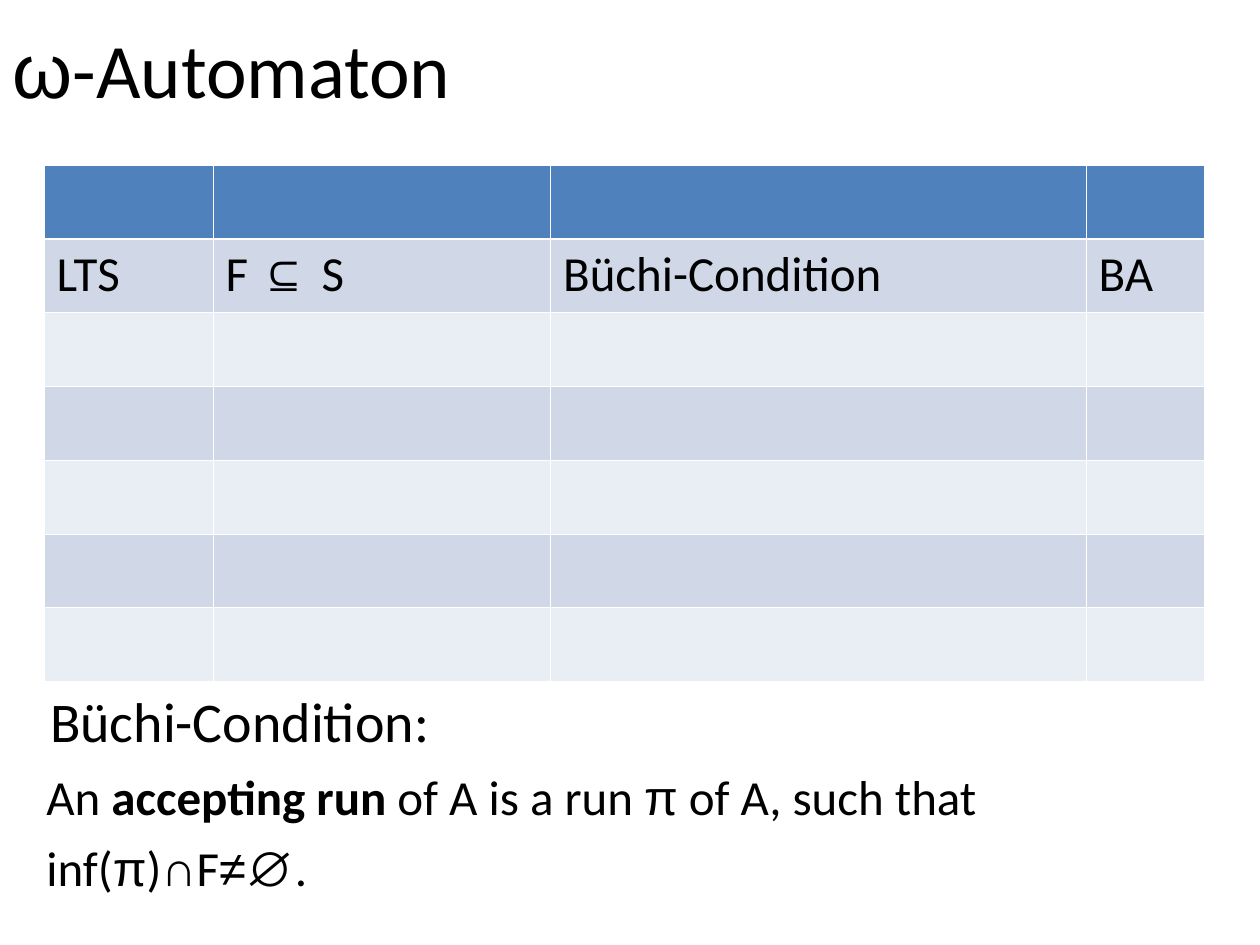
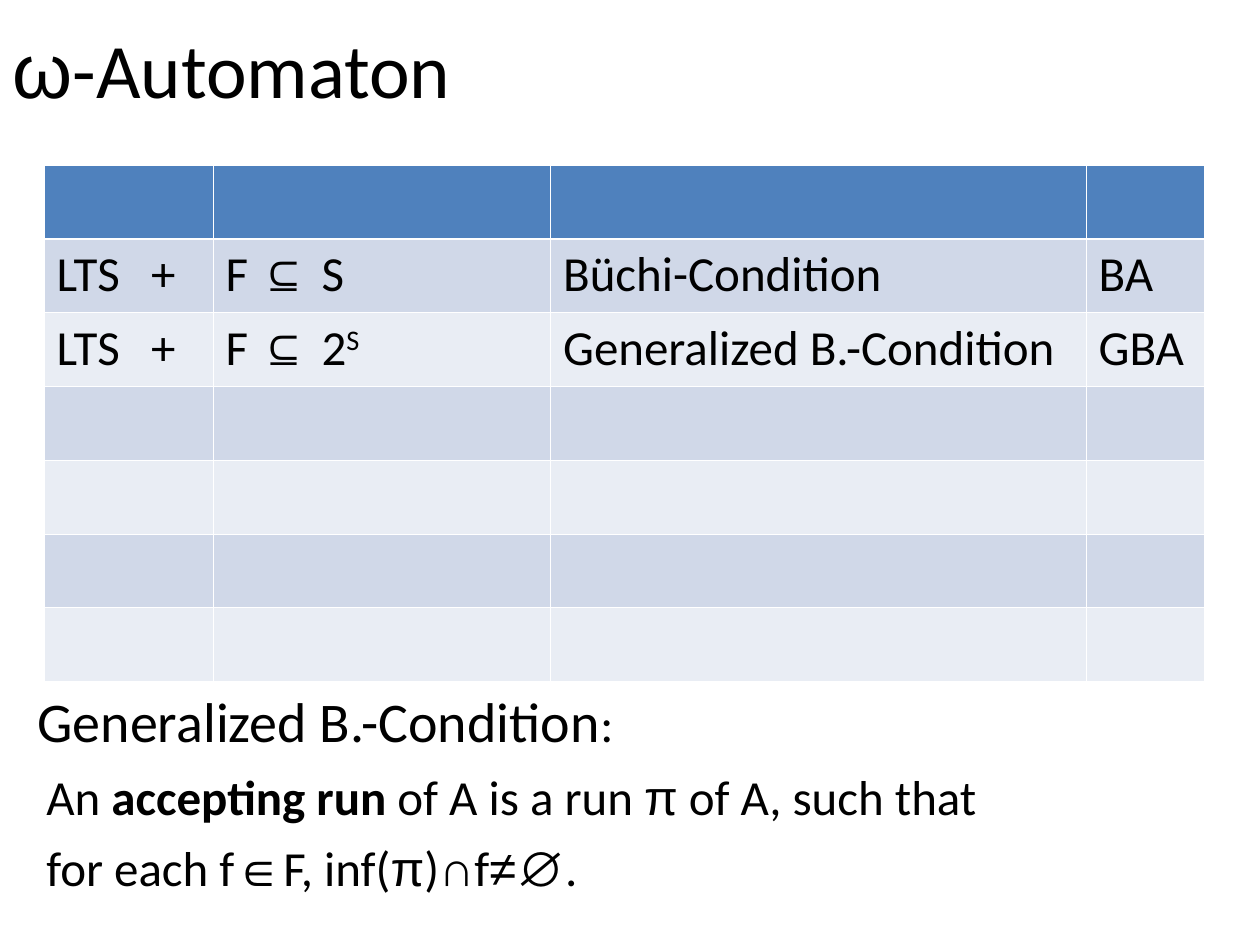
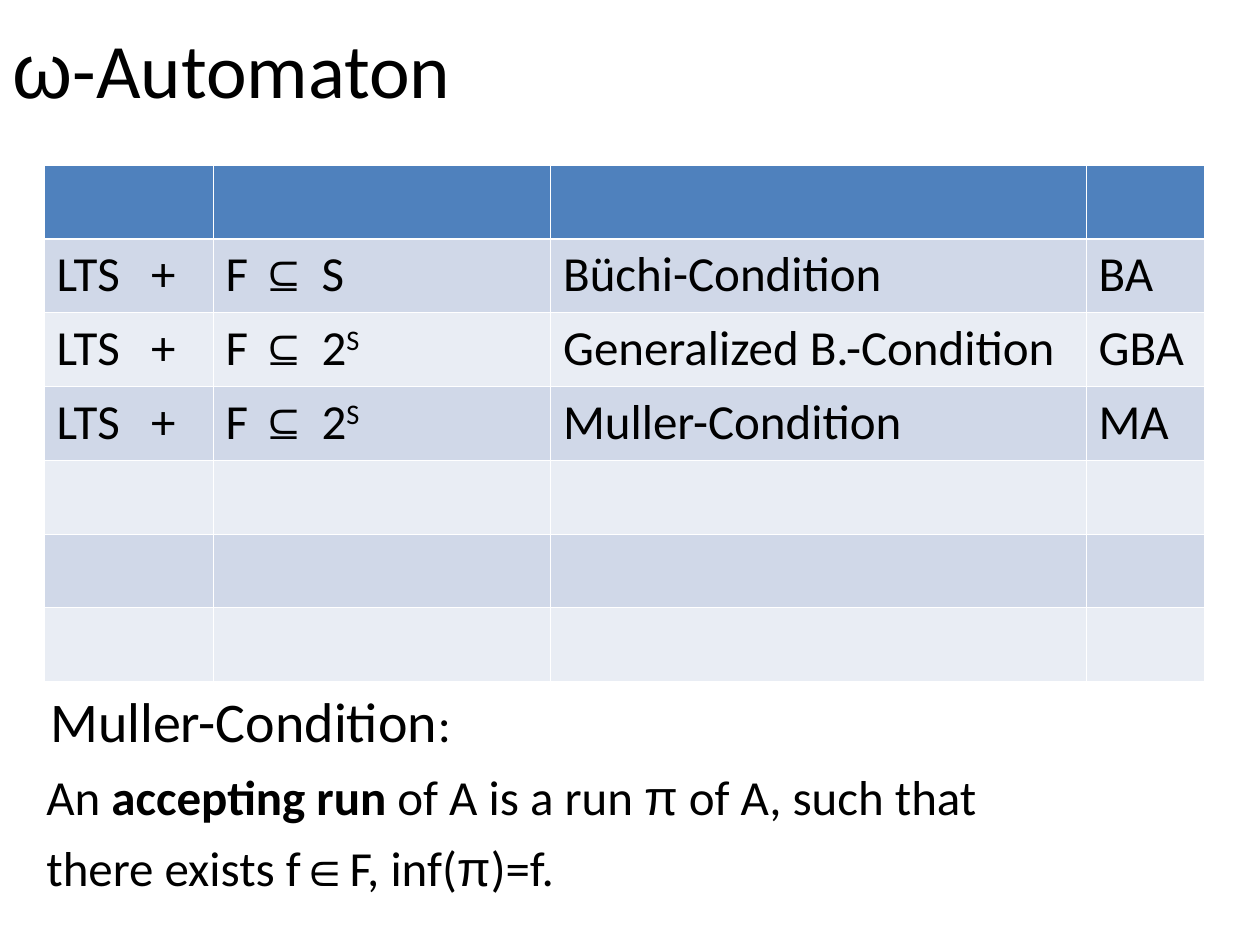
from lxml import etree
from pptx import Presentation
from pptx.dml.color import RGBColor
from pptx.enum import text
from pptx.oxml import ns
from pptx.util import Inches, Pt

# Shared look
BLACK = RGBColor(0x00, 0x00, 0x00)
WHITE = RGBColor(0xFF, 0xFF, 0xFF)
HEADER_BLUE = RGBColor(0x4F, 0x81, 0xBD)
BAND_DARK = RGBColor(0xD0, 0xD8, 0xE8)
BAND_LIGHT = RGBColor(0xE9, 0xED, 0xF4)
TEXT_FONT, SYMBOL_FONT = "Calibri", "Arial"
TITLE_SIZE, HEADING_SIZE, TEXT_SIZE = 44, 32, 28
THIN, THICK = 0.45, 1.47

# Table grid
COLUMN_WIDTHS = (1.34, 2.68, 4.25, 0.94)
ROW_COUNT, TABLE_HEIGHT = 7, 4.1
TABLE_LEFT, TABLE_TOP = 0.35, 1.31
PLUS_TAB = 0.75

# Content: a run is (text, style)
PLAIN, SYMBOL, BOLD, SUPER = "plain", "symbol", "bold", "super"
TITLE = [("ω", SYMBOL), ("-Automaton", PLAIN)]
SUBSET_OF = [("F ", PLAIN), ("⊆ ", SYMBOL)]
STATES = SUBSET_OF + [("S", PLAIN)]
STATE_SETS = SUBSET_OF + [("2", PLAIN), ("S", SUPER)]
AUTOMATA = [
    (STATES, "Büchi-Condition", "BA"),
    (STATE_SETS, "Generalized B.-Condition", "GBA"),
    (STATE_SETS, "Muller-Condition", "MA"),
]
ACCEPTING_RUN = [("An ", PLAIN), ("accepting run ", BOLD), ("of A is a run ", PLAIN),
                 ("π", SYMBOL), (" of A, such that", PLAIN)]
SLIDES = [
    {"lts": "LTS", "colon_size": HEADING_SIZE, "indent": 0.3, "before": 8,
     "rule": [("inf(", PLAIN), ("π", SYMBOL), (")", PLAIN), ("∩", SYMBOL),
              ("F", PLAIN), ("≠∅", SYMBOL), (".", PLAIN)]},
    {"lts": "LTS\t+", "colon_size": TEXT_SIZE, "indent": 0.2, "before": 7,
     "rule": [("for each f", PLAIN), ("∈", SYMBOL), ("F, inf(", PLAIN),
              ("π", SYMBOL), (")", PLAIN), ("∩", SYMBOL), ("f", PLAIN),
              ("≠∅", SYMBOL), (".", PLAIN)]},
    {"lts": "LTS\t+", "colon_size": TEXT_SIZE, "indent": 0.3, "before": 7,
     "rule": [("there exists f", PLAIN), ("∈", SYMBOL), ("F, inf(", PLAIN),
              ("π", SYMBOL), (")=f.", PLAIN)]},
]


def add_runs(paragraph, runs, size=TEXT_SIZE):
    for words, style in runs:
        run = paragraph.add_run()
        run.text = words
        run.font.size = Pt(size)
        run.font.name = SYMBOL_FONT if style == SYMBOL else TEXT_FONT
        run.font.bold = style == BOLD
        run.font.color.rgb = BLACK
        if style == SUPER:
            run.font._element.set("baseline", "30000")


def set_indent(paragraph, inches):
    properties = paragraph._p.get_or_add_pPr()
    properties.set("marL", str(Inches(inches)))
    properties.set("indent", "0")


def add_tab_stop(paragraph, inches):
    stops = etree.SubElement(paragraph._p.get_or_add_pPr(), ns.qn("a:tabLst"))
    etree.SubElement(stops, ns.qn("a:tab"), pos=str(Inches(inches)), algn="l")


def add_text_frame(slide, top, height):
    frame = slide.shapes.add_textbox(0, Inches(top), Inches(10), Inches(height)).text_frame
    frame.word_wrap = True
    return frame


def add_title(slide):
    frame = add_text_frame(slide, 0, 1.07)
    frame.vertical_anchor = text.MSO_ANCHOR.MIDDLE
    add_runs(frame.paragraphs[0], TITLE, TITLE_SIZE)


def add_definition(slide, condition, content):
    frame = add_text_frame(slide, 5.4, 1.91)
    heading = frame.paragraphs[0]
    heading.space_before = Pt(content["before"])
    set_indent(heading, content["indent"])
    add_runs(heading, [(condition, PLAIN)], HEADING_SIZE)
    add_runs(heading, [(":", PLAIN)], content["colon_size"])
    for sentence in (ACCEPTING_RUN, content["rule"]):
        line = frame.add_paragraph()
        line.space_before = Pt(7)
        set_indent(line, 0.27)
        add_runs(line, sentence)


def style_cell(cell, row):
    cell.fill.solid()
    cell.fill.fore_color.rgb = (HEADER_BLUE if row == 0
                                else BAND_DARK if row % 2 else BAND_LIGHT)
    # Borders come before the fill in the cell properties
    widths = {"L": THIN, "R": THIN, "T": THICK if row == 1 else THIN,
              "B": THICK if row == 0 else THIN}
    properties = cell._tc.get_or_add_tcPr()
    for place, (side, width) in enumerate(widths.items()):
        border = etree.Element(ns.qn(f"a:ln{side}"), w=str(Pt(width)))
        fill = etree.SubElement(border, ns.qn("a:solidFill"))
        etree.SubElement(fill, ns.qn("a:srgbClr"), val=str(WHITE))
        properties.insert(place, border)


def add_automata_table(slide, automata, lts):
    table = slide.shapes.add_table(
        ROW_COUNT, len(COLUMN_WIDTHS), Inches(TABLE_LEFT), Inches(TABLE_TOP),
        Inches(sum(COLUMN_WIDTHS)), Inches(TABLE_HEIGHT)).table
    for column, width in zip(table.columns, COLUMN_WIDTHS):
        column.width = Inches(width)
    for row in range(ROW_COUNT):
        table.rows[row].height = Inches(TABLE_HEIGHT / ROW_COUNT)
        for column in range(len(COLUMN_WIDTHS)):
            style_cell(table.cell(row, column), row)
    for row, (acceptance, condition, short_name) in enumerate(automata, start=1):
        entries = ([(lts, PLAIN)], acceptance, [(condition, PLAIN)], [(short_name, PLAIN)])
        for column, runs in enumerate(entries):
            add_runs(table.cell(row, column).text_frame.paragraphs[0], runs)
        if "\t" in lts:
            add_tab_stop(table.cell(row, 0).text_frame.paragraphs[0], PLUS_TAB)


def main():
    deck = Presentation()
    deck.slide_width, deck.slide_height = Inches(10), Inches(7.5)
    # Each slide adds one more automaton and defines its condition
    for count, content in enumerate(SLIDES, start=1):
        slide = deck.slides.add_slide(deck.slide_layouts[6])
        automata = AUTOMATA[:count]
        add_title(slide)
        add_definition(slide, automata[-1][1], content)
        add_automata_table(slide, automata, content["lts"])
    deck.save("out.pptx")


if __name__ == "__main__":
    main()
